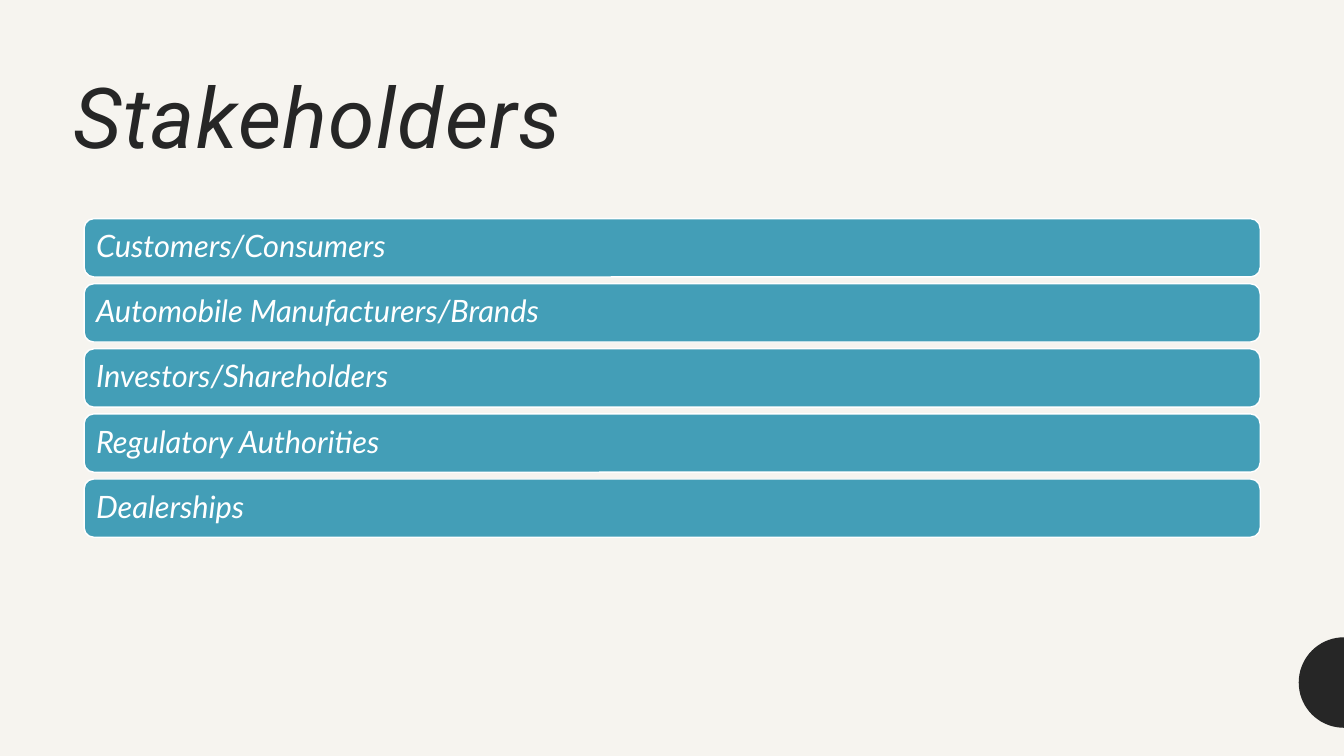
from math import cos, pi, sin

from pptx import Presentation
from pptx.dml.color import RGBColor
from pptx.enum.shapes import MSO_SHAPE
from pptx.enum.text import MSO_ANCHOR, PP_ALIGN
from pptx.util import Cm, Pt

ROUNDED = MSO_SHAPE.ROUNDED_RECTANGLE
TOP, MIDDLE = MSO_ANCHOR.TOP, MSO_ANCHOR.MIDDLE
LEFT = PP_ALIGN.LEFT

CREAM = RGBColor(0xF6, 0xF4, 0xEF)
CHARCOAL = RGBColor(0x26, 0x26, 0x26)
TEAL = RGBColor(0x43, 0x9E, 0xB7)
WHITE = RGBColor(0xFF, 0xFF, 0xFF)

SLIDE_WIDTH, SLIDE_HEIGHT = Cm(33.87), Cm(19.05)
STAKEHOLDERS = [
    "Customers/Consumers",
    "Automobile Manufacturers/Brands",
    "Investors/Shareholders",
    "Regulatory Authorities",
    "Dealerships",
]


def write_line(frame, words, font_name, size, color):
    frame.word_wrap = True
    paragraph = frame.paragraphs[0]
    paragraph.text = words
    paragraph.alignment = LEFT
    paragraph.line_spacing = 0.9
    font = paragraph.font
    font.name, font.size, font.italic = font_name, Pt(size), True
    font.color.rgb = color
    return paragraph


def add_edge_disc(slide, left, top, radius):
    steps = 36
    angles = [pi / 2 + pi * step / steps for step in range(steps + 1)]
    points = [
        (int(left + radius * (1 + cos(angle))), int(top + radius * (1 - sin(angle))))
        for angle in angles
    ]
    outline = slide.shapes.build_freeform(*points[0])
    outline.add_line_segments(points[1:], close=True)
    disc = outline.convert_to_shape()
    disc.shadow.inherit = False
    disc.fill.solid()
    disc.fill.fore_color.rgb = CHARCOAL
    disc.line.fill.background()


def add_heading(slide, left, top, width, height):
    heading = slide.shapes.add_textbox(left, top, width, height)
    heading.text_frame.vertical_anchor = TOP
    paragraph = write_line(heading.text_frame, "Stakeholders", "Roboto", 60, CHARCOAL)
    paragraph.runs[0]._r.get_or_add_rPr().set("spc", "100")


def add_stakeholder_bars(slide, left, top, width, height):
    gap = Cm(0.17)
    count = len(STAKEHOLDERS)
    bar_height = (height - gap * (count - 1)) // count
    for row, stakeholder in enumerate(STAKEHOLDERS):
        bar_top = top + row * (bar_height + gap)
        bar = slide.shapes.add_shape(ROUNDED, left, bar_top, width, bar_height)
        bar.shadow.inherit = False
        bar.fill.solid()
        bar.fill.fore_color.rgb = TEAL
        bar.line.color.rgb = WHITE
        bar.line.width = Pt(1)
        frame = bar.text_frame
        frame.vertical_anchor = MIDDLE
        frame.margin_left = frame.margin_right = Cm(0.23)
        frame.margin_top = frame.margin_bottom = Cm(0.23)
        write_line(frame, stakeholder, "Lato", 22, WHITE)


def main():
    deck = Presentation()
    deck.slide_width, deck.slide_height = SLIDE_WIDTH, SLIDE_HEIGHT
    slide = deck.slides.add_slide(deck.slide_layouts[6])
    slide.background.fill.solid()
    slide.background.fill.fore_color.rgb = CREAM

    disc_radius = Cm(1.14)
    add_edge_disc(slide, SLIDE_WIDTH - disc_radius, Cm(16.06), disc_radius)
    add_heading(slide, Cm(1.6), Cm(1.78), Cm(29.64), Cm(3.63))
    add_stakeholder_bars(slide, Cm(2.12), Cm(5.51), Cm(29.64), Cm(8.03))
    deck.save("out.pptx")


if __name__ == "__main__":
    main()
